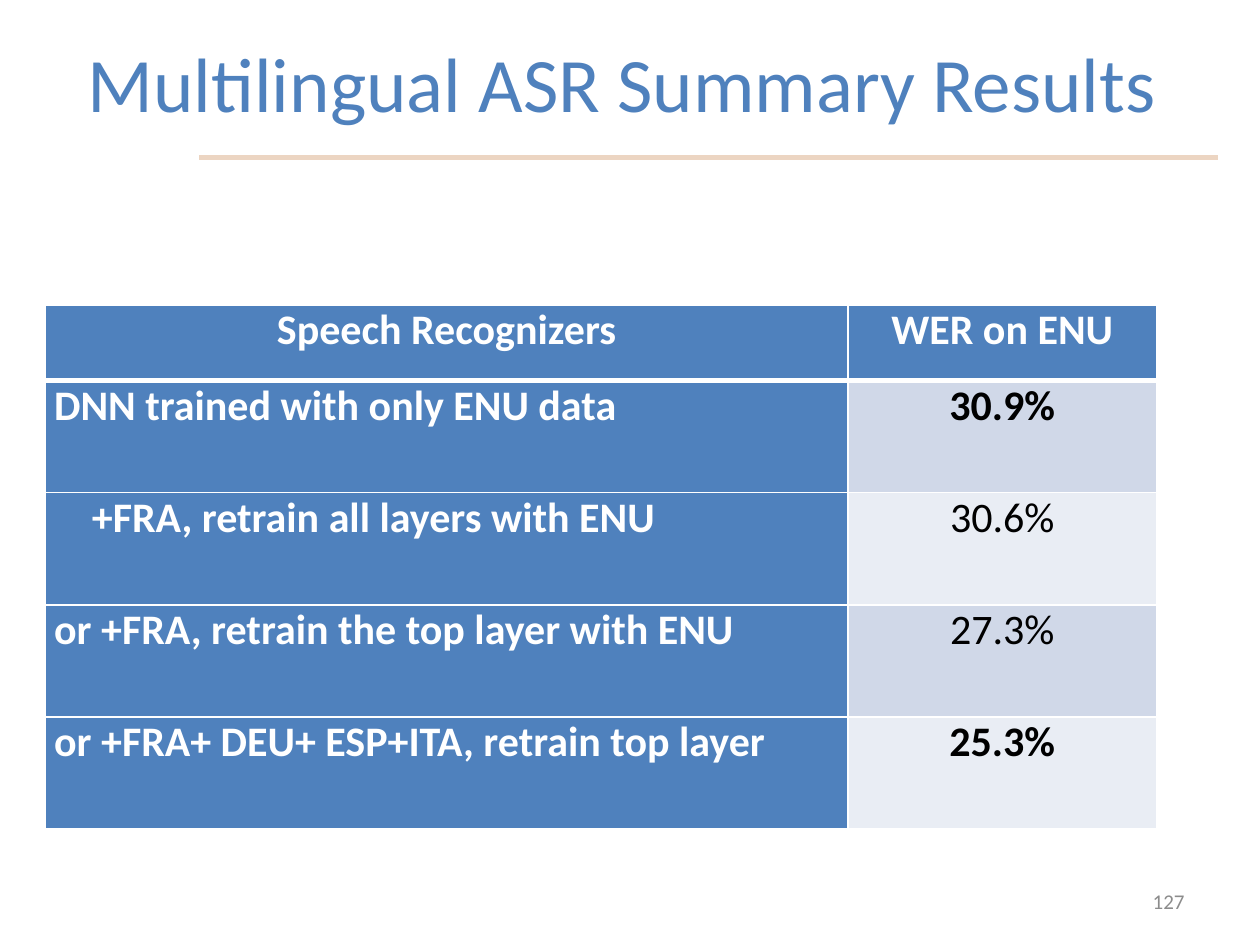
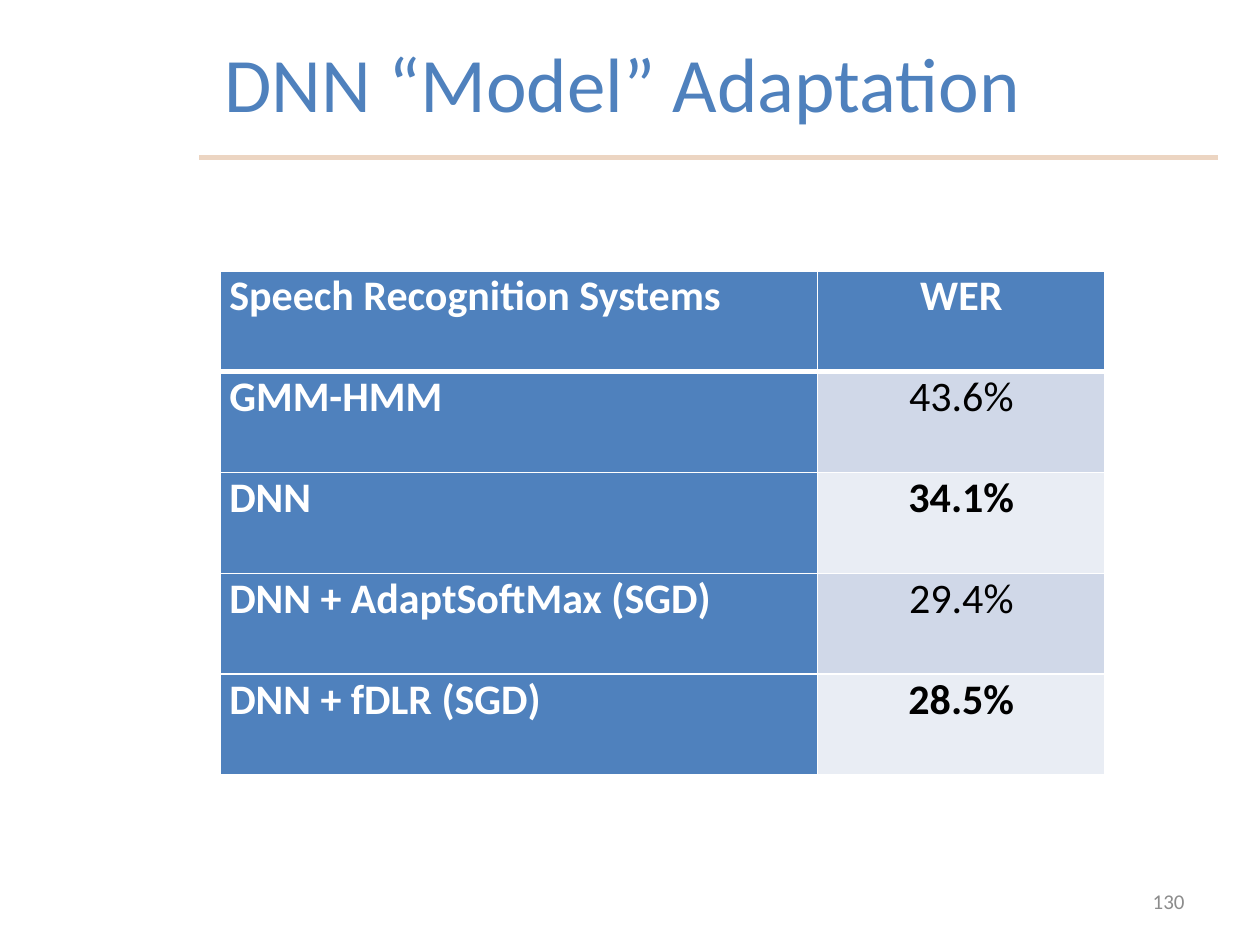
from lxml import etree
from pptx import Presentation
from pptx.dml.color import RGBColor
from pptx.enum.shapes import MSO_CONNECTOR
from pptx.enum.text import MSO_ANCHOR, PP_ALIGN
from pptx.oxml import parse_xml
from pptx.oxml.ns import nsdecls, qn
from pptx.util import Inches, Pt

# Shared look
FONT = "Calibri"
BLUE, WHITE, BLACK = "4F81BD", "FFFFFF", "000000"
RULE, GREY = "ECD5C2", "8C8C8C"
BANDS = ("D0D8E8", "E9EDF4")
LEFT, MID, RIGHT = PP_ALIGN.LEFT, PP_ALIGN.CENTER, PP_ALIGN.RIGHT


def color(code):
    return RGBColor.from_string(code)


# Lengths are percentages of the slide's size
def wide(share):
    return Inches(10 * share / 100)


def high(share):
    return Inches(7.5 * share / 100)


def write(frame, text, size, tint, align, bold=False):
    para = frame.paragraphs[0]
    para.text, para.alignment = text, align
    font = para.font
    font.name, font.size, font.bold = FONT, Pt(size), bold
    font.color.rgb = color(tint)


def add_label(slide, text, area, size, tint, align):
    x, y, w, h = area
    frame = slide.shapes.add_textbox(wide(x), high(y), wide(w), high(h)).text_frame
    frame.word_wrap = True
    frame.vertical_anchor = MSO_ANCHOR.MIDDLE
    write(frame, text, size, tint, align)


def add_rule(slide):
    y = high(16.67)
    line = slide.shapes.add_connector(MSO_CONNECTOR.STRAIGHT, wide(15.8), y, wide(96.7), y)
    line.line.color.rgb = color(RULE)
    line.line.width = Pt(3)
    etree.SubElement(line._element.spPr, qn("a:effectLst"))


def start_slide(deck, title, number):
    slide = deck.slides.add_slide(deck.slide_layouts[6])
    add_rule(slide)
    add_label(slide, title, (-0.4, 0.27, 99.6, 16.67), 44, BLUE, MID)
    add_label(slide, number, (71.7, 92.67, 23.3, 5.33), 12, GREY, RIGHT)
    return slide


def set_edges(cell, row):
    """White cell borders, heavier between the header and the body."""
    widths = {"L": 1, "R": 1, "T": 3 if row == 1 else 1, "B": 3 if row == 0 else 1}
    props = cell._tc.get_or_add_tcPr()
    for side, width in widths.items():
        props.append(parse_xml(
            f'<a:ln{side} {nsdecls("a")} w="{Pt(width)}"><a:solidFill>'
            f'<a:srgbClr val="{WHITE}"/></a:solidFill></a:ln{side}>'))


def fill_cell(cell, row, text, back, tint, align, bold, indent=0):
    set_edges(cell, row)
    cell.margin_left, cell.margin_right = Inches(0.07 + indent), Inches(0.07)
    cell.margin_top = cell.margin_bottom = 0
    cell.fill.solid()
    cell.fill.fore_color.rgb = color(back)
    write(cell.text_frame, text, 24, tint, align, bold)


def add_scores(slide, spot, cols, rows, head, body, align, strong, inset=()):
    """Table of systems and error rates; strong and inset list row numbers."""
    frame = slide.shapes.add_table(
        len(rows), 2, wide(spot[0]), high(spot[1]), wide(sum(cols)), high(sum(rows)))
    table = frame.table
    for col, share in zip(table.columns, cols):
        col.width = wide(share)
    for row, share in zip(table.rows, rows):
        row.height = high(share)

    # Header
    for col, (text, side) in enumerate(zip(head, (align, MID))):
        fill_cell(table.cell(0, col), 0, text, BLUE, WHITE, side, True)

    # Systems and their rates
    for row, (name, rate) in enumerate(body, 1):
        indent = 0.3 if row in inset else 0
        fill_cell(table.cell(row, 0), row, name, BLUE, WHITE, LEFT, True, indent)
        fill_cell(table.cell(row, 1), row, rate, BANDS[(row - 1) % 2], BLACK, MID,
                  row in strong)


def main():
    deck = Presentation()
    deck.slide_width, deck.slide_height = Inches(10), Inches(7.5)

    # Multilingual results
    slide = start_slide(deck, "Multilingual ASR Summary Results", "127")
    add_scores(
        slide, (3.6, 32.27), (63.7, 24.5), [8] + [11.87] * 4,
        ("Speech Recognizers", "WER on ENU"),
        [("DNN trained with only ENU data", "30.9%"),
         ("+FRA, retrain all layers with ENU", "30.6%"),
         ("or +FRA, retrain the top layer with ENU", "27.3%"),
         ("or +FRA+ DEU+ ESP+ITA, retrain top layer", "25.3%")],
        MID, strong=(1, 4), inset=(2,))

    # Adaptation results
    slide = start_slide(deck, "DNN “Model” Adaptation", "130")
    add_scores(
        slide, (17.5, 28.67), (47.4, 22.8), [10.67] * 5,
        ("Speech Recognition Systems", "WER"),
        [("GMM-HMM", "43.6%"),
         ("DNN", "34.1%"),
         ("DNN + AdaptSoftMax (SGD)", "29.4%"),
         ("DNN + fDLR (SGD)", "28.5%")],
        LEFT, strong=(2, 4))

    deck.save("out.pptx")


if __name__ == "__main__":
    main()
